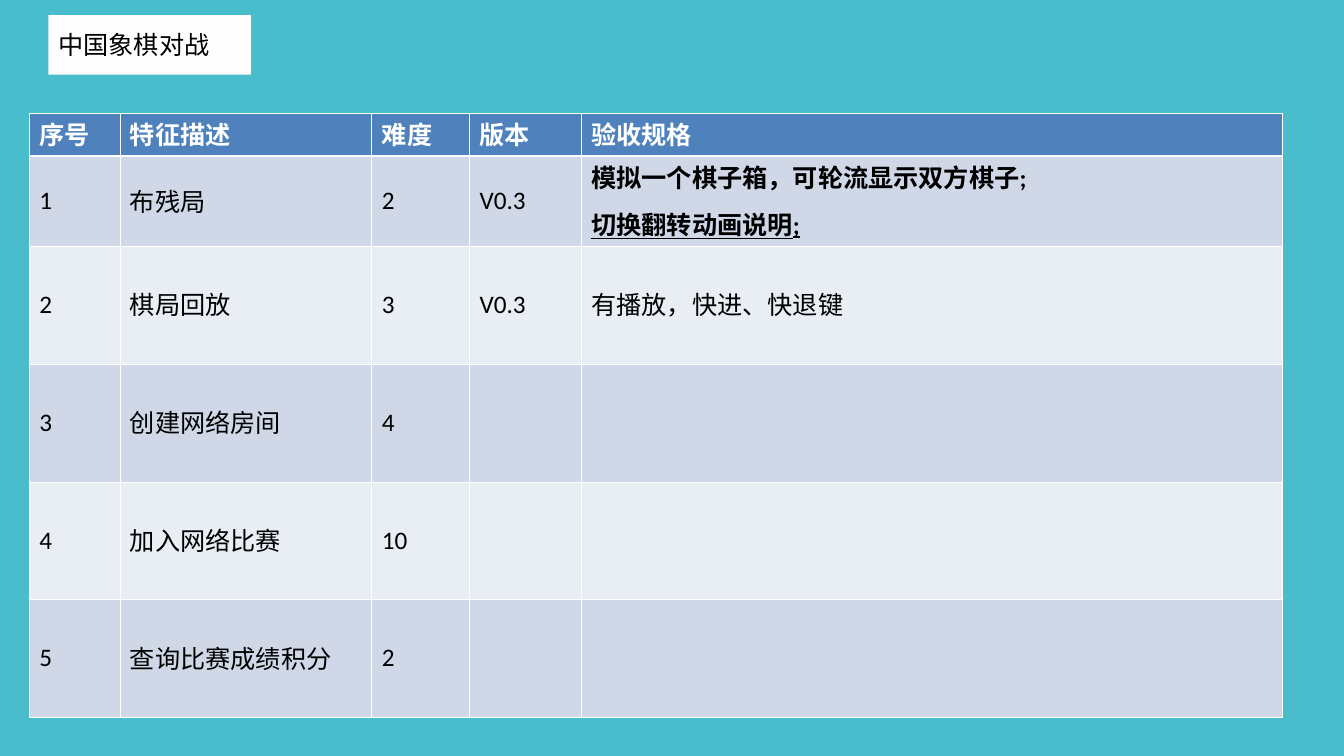
import dataclasses
import pptx
import pptx.util
import pptx.dml.color
import pptx.enum.text
import pptx.oxml.ns
import lxml.etree

Inches = pptx.util.Inches
Pt = pptx.util.Pt


@dataclasses.dataclass(frozen=True)
class Theme:
    back: str = "4ABDCC"
    label: str = "FEFEFE"
    head: str = "4F81BD"
    odd: str = "D0D8E8"
    even: str = "E9EDF4"
    rule: str = "FFFFFF"
    light: str = "FFFFFF"
    dark: str = "000000"
    font: str = "Calibri"
    size: int = 18
    thin: float = 0.45
    thick: float = 1.47


THEME = Theme()
TITLE = "中国象棋对战"
COLS = [0.9, 2.5, 0.97, 1.11, 6.96]
ROWS = [0.43, 0.89] + [1.17] * 4
HEADS = ["序号", "特征描述", "难度", "版本", "验收规格"]
ITEMS = [
    ["布残局", "2", "V0.3", "模拟一个棋子箱，可轮流显示双方棋子;\n切换翻转动画说明;"],
    ["棋局回放", "3", "V0.3", "有播放，快进、快退键"],
    ["创建网络房间", "4", "", ""],
    ["加入网络比赛", "10", "", ""],
    ["查询比赛成绩积分", "2", "", ""],
]


def paint(fill, color):
    fill.solid()
    fill.fore_color.rgb = pptx.dml.color.RGBColor.from_string(color)


def add_run(para, text, color, bold=False, under=False):
    run = para.add_run()
    run.text = text
    font = run.font
    font.name = THEME.font
    font.size = Pt(THEME.size)
    font.bold = bold
    font.underline = under
    font.color.rgb = pptx.dml.color.RGBColor.from_string(color)


def add_edge(cell, side, width):
    name = pptx.oxml.ns.qn
    props = cell._tc.get_or_add_tcPr()
    line = lxml.etree.SubElement(props, name(f"a:ln{side}"), w=str(int(Pt(width))))
    fill = lxml.etree.SubElement(line, name("a:solidFill"))
    lxml.etree.SubElement(fill, name("a:srgbClr"), val=THEME.rule)


def fill_cell(cell, text, row, bold):
    edges = {"L": THEME.thin, "R": THEME.thin,
             "T": THEME.thick if row == 1 else THEME.thin,
             "B": THEME.thick if row == 0 else THEME.thin}
    for side, width in edges.items():
        add_edge(cell, side, width)
    paint(cell.fill, THEME.head if row == 0 else THEME.odd if row % 2 else THEME.even)
    cell.vertical_anchor = pptx.enum.text.MSO_ANCHOR.MIDDLE
    if not text:
        return
    frame = cell.text_frame
    for index, line in enumerate(text.split("\n")):
        para = frame.add_paragraph() if index else frame.paragraphs[0]
        para.line_spacing = 0.9
        para.space_before = Pt(10 if index else 0)
        add_run(para, line, THEME.dark if row else THEME.light, bold, index > 0)


def add_title(slide):
    title = slide.shapes.title
    title.left, title.top = Inches(0.48), Inches(0.15)
    title.width, title.height = Inches(2.01), Inches(0.59)
    paint(title.fill, THEME.label)
    frame = title.text_frame
    frame.auto_size = pptx.enum.text.MSO_AUTO_SIZE.NONE
    frame.word_wrap = True
    frame.vertical_anchor = pptx.enum.text.MSO_ANCHOR.MIDDLE
    para = frame.paragraphs[0]
    para.alignment = pptx.enum.text.PP_ALIGN.LEFT
    add_run(para, TITLE, THEME.dark)


def add_grid(slide):
    data = [HEADS] + [[str(num)] + item for num, item in enumerate(ITEMS, 1)]
    table = slide.shapes.add_table(
        len(ROWS), len(COLS), Inches(0.29), Inches(1.12),
        Inches(sum(COLS)), Inches(sum(ROWS))).table
    for column, width in zip(table.columns, COLS):
        column.width = Inches(width)
    for line, height in zip(table.rows, ROWS):
        line.height = Inches(height)
    for row, texts in enumerate(data):
        for col, text in enumerate(texts):
            fill_cell(table.cell(row, col), text, row, row == 0 or "\n" in text)


def main():
    deck = pptx.Presentation()
    deck.slide_width, deck.slide_height = Inches(13.34), Inches(7.5)
    slide = deck.slides.add_slide(deck.slide_layouts[5])
    paint(slide.background.fill, THEME.back)
    add_title(slide)
    add_grid(slide)
    deck.save("out.pptx")


if __name__ == "__main__":
    main()
